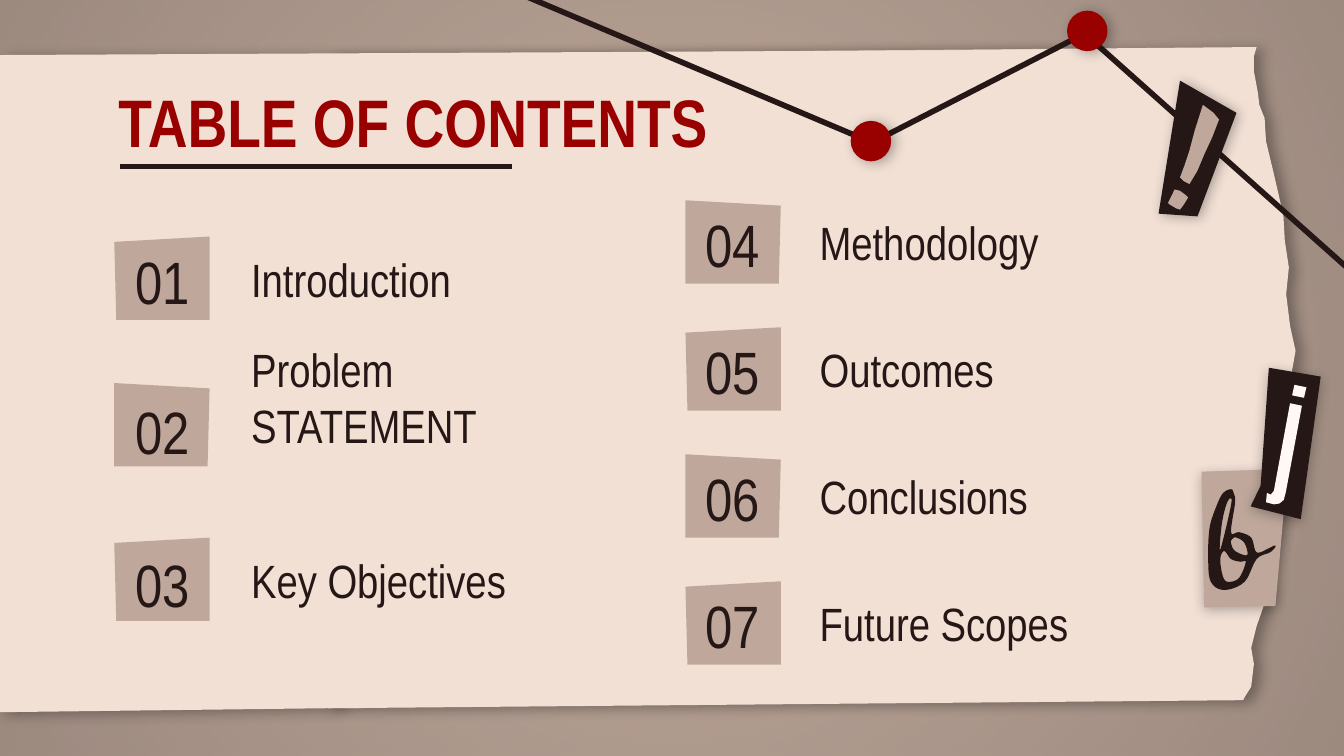
from dataclasses import dataclass

from lxml.etree import SubElement
from pptx import Presentation
from pptx.dml.color import RGBColor
from pptx.enum.shapes import MSO_CONNECTOR as CONNECTOR, MSO_SHAPE as SHAPE
from pptx.enum.text import MSO_ANCHOR as ANCHOR, MSO_AUTO_SIZE as AUTO_SIZE, PP_ALIGN as ALIGN
from pptx.oxml import parse_xml
from pptx.oxml.ns import nsdecls, qn
from pptx.util import Inches, Pt

# The slide is a grid of square cells, a tenth of an inch each
COLUMNS, ROWS = 100, 56.25
CELL = Inches(0.1)

Point = tuple[float, float]
Contour = list[Point]


@dataclass(frozen=True)
class Theme:
    font: str = "Arial Narrow"
    title_size: int = 36
    number_size: int = 32
    label_size: int = 25
    line_width: int = 3
    ink: str = "261717"
    accent: str = "990000"
    tan: str = "BFA89B"
    paper: str = "F2E0D5"
    white: str = "FFF8F4"
    shade: str = "000000"


@dataclass(frozen=True)
class Shadow:
    distance: float
    angle: int = 24
    opacity: int = 29


@dataclass(frozen=True)
class Column:
    left: float
    number_left: float
    number_width: float
    label_left: float


@dataclass(frozen=True)
class Entry:
    number: str
    label: str
    column: Column
    top: float
    rising: bool
    number_drop: float = 0.2
    label_width: float = 24.4


THEME = Theme()
TILE_WIDTH, TILE_HEIGHT, TILE_SLANT, TILE_TAPER = 7.1, 6.2, 0.4, 0.15
LEFT = Column(8.5, 8.9, 6.4, 17.7)
RIGHT = Column(51, 51, 7, 60)
RIGHT_TOP, RIGHT_STEP = 14.9, 9.45

ENTRIES = [
    Entry("01", "Introduction", LEFT, 17.6, True, 0.4),
    Entry("02", "Problem STATEMENT", LEFT, 28.5, False, 0.9, 26.1),
    Entry("03", "Key Objectives", LEFT, 40, True, 0.7),
] + [
    Entry(f"{row + 4:02}", label, RIGHT, RIGHT_TOP + row * RIGHT_STEP, row % 2 == 1)
    for row, label in enumerate(["Methodology", "Outcomes", "Conclusions", "Future Scopes"])
]

# Paper outlines
TORN_SHEET = [
    (24.6, 4.1), (93.5, 3.5), (93.3, 4.2), (93.3, 5.3), (93.6, 6.9), (93.7, 7.8), (94.1, 8.8),
    (94.2, 10.5), (94.8, 13), (95.1, 14.3), (95.5, 16.1), (95.6, 17.9), (95.9, 19.9),
    (95.7, 21.9), (96, 24.3), (96.4, 26.1), (96.1, 27.8), (96, 30.5), (95.9, 32.3),
    (95.7, 34.4), (95.6, 35.8), (95, 39), (94.5, 41.1), (94.2, 42.6), (94.3, 44.3),
    (93.5, 46.6), (93.1, 48.2), (93.3, 49.4), (93.1, 51.1), (92.6, 51.9), (92.5, 52.1),
    (24.4, 52.7)]
PLAIN_SHEET = [(24.7, 52.7), (-0.2, 53), (0, 4.1), (80.4, 3.7)]
SEAM_PATCH = [(24.5, 52.7), (27.1, 52.7), (82.7, 3.6), (69.3, 3.8), (65.4, 9.4), (13.6, 39)]

# Cut-out letters
B_SCRAP = [(95.8, 34.9), (89.4, 35.1), (89.6, 45.2), (94.9, 45.1)]
B_GLYPH = [
    [(91.5, 37.1), (91.6, 37.6), (90.8, 40.9), (90.9, 39.1), (91.2, 37.7)],
    [(92, 40), (92.6, 40.4), (92.8, 41.3), (91.9, 41), (91.6, 40.4), (91.7, 40.1)],
    [(91.1, 41), (91.6, 41.6), (92.3, 41.8), (92.7, 41.8), (92.2, 43), (91.4, 43.3),
     (91, 42.9), (90.8, 41.6)],
    [(91.6, 36.4), (91, 36.7), (90.5, 37.7), (90, 39.3), (89.9, 41.6), (90.1, 43.3),
     (91.1, 43.9), (92.6, 43.3), (93.5, 41.6), (94.5, 41.1), (94.9, 40.7), (94.8, 40.6),
     (94.4, 40.8), (93.5, 41.1), (93.1, 40), (92.2, 39.6), (91.6, 39.6), (91.9, 37.4),
     (91.8, 36.7)]]
J_SCRAP = [(97.8, 27.8), (93.9, 27.5), (94.1, 36.3), (93.5, 37.9), (97.3, 38.5)]
J_GLYPH = [
    [(95.9, 28.6), (95.8, 29.4), (96.7, 29.5), (96.8, 28.7)],
    [(95.7, 30), (95.1, 36.6), (94.9, 36.9), (94.6, 36.8), (94.6, 37.5), (95.2, 37.6),
     (95.6, 37.5), (95.9, 37.2), (96, 36.6), (96.6, 30.1)]]
J_TILT = 5.3
MARK_SCRAP = [(87.8, 6), (86.2, 15.9), (89.1, 16.1), (92, 8.4)]
MARK_GLYPH = [
    [(89.5, 7.8), (88.9, 9.7), (88.5, 11.2), (88.1, 12.4), (87.8, 13.2), (88.1, 13.5),
     (88.5, 13.7), (89.1, 12.7), (89.6, 11.5), (90.2, 10.2), (90.7, 8.9), (90.3, 8.4)],
    [(87.4, 14.1), (87.2, 14.5), (86.9, 15.1), (87, 15.2), (87.5, 15.5), (87.8, 15.6),
     (88.1, 15.2), (88.4, 14.7), (88.2, 14.5), (87.8, 14.2)]]


def emu(cells: float) -> int:
    return round(cells * CELL)


def colour(value: str) -> RGBColor:
    return RGBColor.from_string(value)


def add_effects(shape, shadow: Shadow | None = None) -> None:
    """Replace the theme's shadow by the given one, or by none."""
    properties = shape._element.spPr
    for old in properties.findall(qn("a:effectLst")):
        properties.remove(old)
    effects = SubElement(properties, qn("a:effectLst"))
    if shadow:
        outer = SubElement(effects, qn("a:outerShdw"), blurRad=str(Pt(6.8)),
                           dist=str(Pt(shadow.distance)), dir=str(shadow.angle * 60000),
                           algn="bl", rotWithShape="0")
        base = SubElement(outer, qn("a:srgbClr"), val=THEME.shade)
        SubElement(base, qn("a:alpha"), val=str(shadow.opacity * 1000))


def smooth(points: Contour, steps: int = 5) -> Contour:
    """Closed Catmull-Rom curve through the points."""
    curve = []
    for i in range(len(points)):
        corners = [points[(i + shift) % len(points)] for shift in (-1, 0, 1, 2)]
        for step in range(steps):
            t = step / steps
            curve.append(tuple(
                (2 * b + (c - a) * t + (2 * a - 5 * b + 4 * c - d) * t**2
                 + (3 * b - a - 3 * c + d) * t**3) / 2
                for a, b, c, d in zip(*corners)))
    return curve


def add_outline(slide, contours: list[Contour], fill: str,
                shadow: Shadow | None = None, rotation: float = 0) -> None:
    scaled = [[(emu(x), emu(y)) for x, y in contour] for contour in contours]
    builder = slide.shapes.build_freeform(*scaled[0][0])
    for index, contour in enumerate(scaled):
        if index:
            builder.move_to(*contour[0])
        builder.add_line_segments(contour[1:], close=True)
    shape = builder.convert_to_shape()
    shape.fill.solid()
    shape.fill.fore_color.rgb = colour(fill)
    shape.line.fill.background()
    shape.rotation = rotation
    add_effects(shape, shadow)


def write(shape, text: str, size: int, ink: str, anchor: ANCHOR,
          align: ALIGN = ALIGN.LEFT, bold: bool = False) -> None:
    frame = shape.text_frame
    frame.word_wrap = True
    frame.auto_size = AUTO_SIZE.NONE
    frame.vertical_anchor = anchor
    frame.margin_left = frame.margin_right = frame.margin_top = frame.margin_bottom = CELL
    paragraph = frame.paragraphs[0]
    paragraph.alignment = align
    run = paragraph.add_run()
    run.text = text
    run.font.name, run.font.size, run.font.bold = THEME.font, Pt(size), bold
    run.font.color.rgb = colour(ink)


def add_entry(slide, entry: Entry) -> None:
    column, top = entry.column, entry.top
    slant, taper = (TILE_SLANT, TILE_TAPER) if entry.rising else (0, 0)
    right, bottom = column.left + TILE_WIDTH, top + TILE_HEIGHT
    add_outline(slide, [[(column.left, top + slant), (right, top + TILE_SLANT - slant),
                         (right - TILE_TAPER + taper, bottom),
                         (column.left + taper, bottom)]], THEME.tan)
    number = slide.shapes.add_textbox(emu(column.number_left), emu(top + entry.number_drop),
                                      emu(column.number_width),
                                      emu(TILE_HEIGHT - entry.number_drop))
    write(number, entry.number, THEME.number_size, THEME.ink, ANCHOR.MIDDLE, ALIGN.CENTER)
    label = slide.shapes.add_textbox(emu(column.label_left), emu(top),
                                     emu(entry.label_width), emu(TILE_HEIGHT))
    write(label, entry.label, THEME.label_size, THEME.ink, ANCHOR.BOTTOM)


def add_line(slide, start: Point, end: Point) -> None:
    line = slide.shapes.add_connector(CONNECTOR.STRAIGHT, *map(emu, start + end))
    line.line.color.rgb = colour(THEME.ink)
    line.line.width = Pt(THEME.line_width)
    add_effects(line)


def add_pin(slide, left: float, top: float, size: float = 2.8) -> None:
    pin = slide.shapes.add_shape(SHAPE.OVAL, emu(left), emu(top), emu(size), emu(size))
    pin.fill.solid()
    pin.fill.fore_color.rgb = pin.line.color.rgb = colour(THEME.accent)
    pin.line.width = Pt(1.5)
    add_effects(pin, Shadow(2.2))


def add_background(slide) -> None:
    slide.background.fill.solid()
    slide.background.fill.fore_color.rgb = colour(THEME.tan)
    vignette = slide.shapes.add_shape(SHAPE.RECTANGLE, 0, 0, emu(COLUMNS), emu(ROWS))
    vignette.line.fill.background()
    stops = "".join(
        f'<a:gs pos="{place}"><a:srgbClr val="{THEME.shade}"><a:alpha val="{alpha}"/></a:srgbClr></a:gs>'
        for place, alpha in ((0, 0), (100000, 18000)))
    vignette._element.spPr.find(qn("a:prstGeom")).addnext(parse_xml(
        f'<a:gradFill {nsdecls("a")}><a:gsLst>{stops}</a:gsLst><a:path path="circle">'
        '<a:fillToRect l="50000" t="50000" r="50000" b="50000"/></a:path></a:gradFill>'))
    add_effects(vignette)


def main() -> None:
    presentation = Presentation()
    presentation.slide_width, presentation.slide_height = emu(COLUMNS), emu(ROWS)
    slide = presentation.slides.add_slide(presentation.slide_layouts[5])
    title = slide.shapes.title

    # Background and paper
    add_background(slide)
    add_outline(slide, [TORN_SHEET], THEME.paper, Shadow(4.5))
    add_outline(slide, [PLAIN_SHEET], THEME.paper, Shadow(4.5))
    add_outline(slide, [SEAM_PATCH], THEME.paper)

    # Title, brought in front of the paper, and its rule
    slide.shapes._spTree.append(title._element)
    title.left, title.top, title.width, title.height = map(emu, (7.8, 5, 84.4, 6.9))
    write(title, "TABLE OF CONTENTS", THEME.title_size, THEME.accent, ANCHOR.TOP, bold=True)
    add_line(slide, (8.9, 12.4), (38.1, 12.4))

    # Contents
    for entry in ENTRIES:
        add_entry(slide, entry)

    # Pinned string
    add_line(slide, (65.1, 10.7), (25.1, -6.2))
    add_line(slide, (80.9, 2.4), (65.1, 10.5))
    add_line(slide, (80.7, 2.5), (103.8, 23.1))
    add_pin(slide, 63.4, 9.1)
    add_pin(slide, 79.5, 0.9)

    # Cut-out letters
    drop = Shadow(1.5, 90, 28)
    add_outline(slide, [B_SCRAP], THEME.tan, drop)
    add_outline(slide, [smooth(contour) for contour in B_GLYPH], THEME.ink)
    add_outline(slide, [J_SCRAP], THEME.ink, drop, J_TILT)
    add_outline(slide, J_GLYPH, THEME.white, rotation=J_TILT)
    add_outline(slide, [MARK_SCRAP], THEME.ink, Shadow(1.5))
    add_outline(slide, MARK_GLYPH, THEME.tan)

    presentation.save("out.pptx")


if __name__ == "__main__":
    main()
